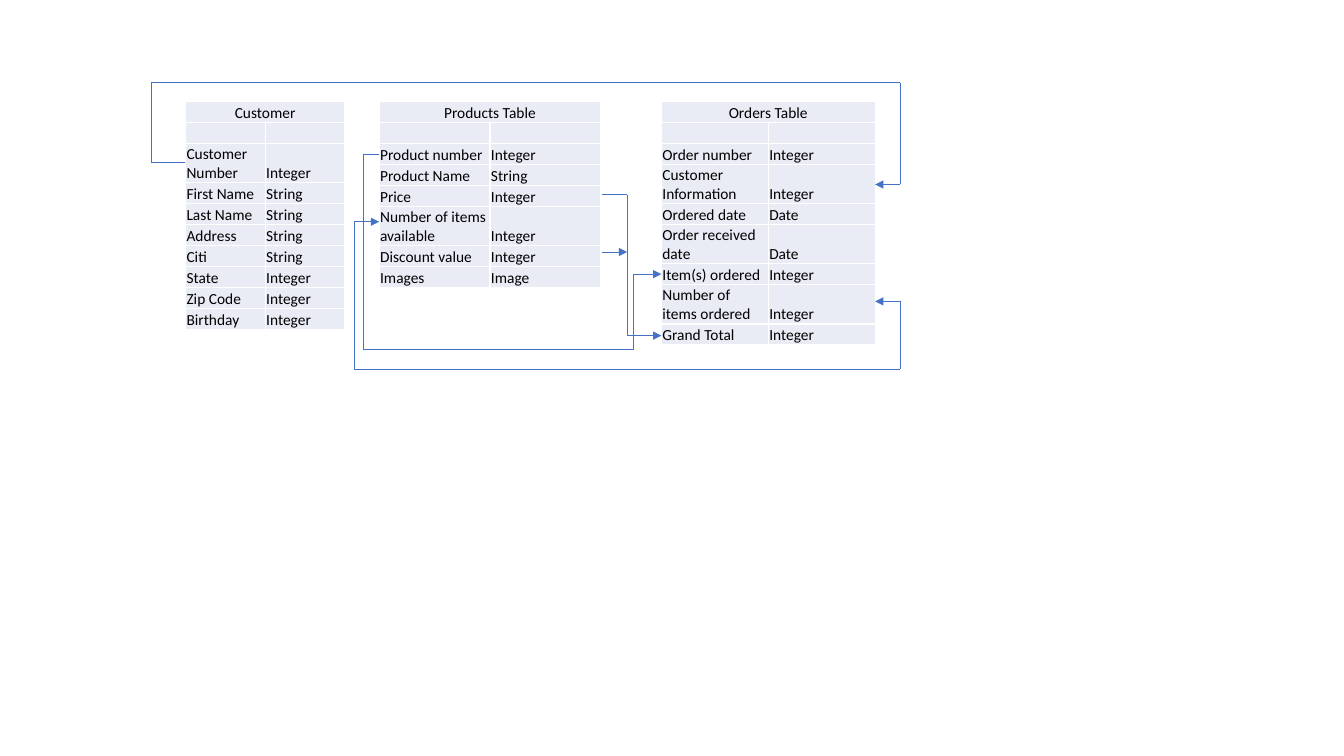
from dataclasses import dataclass
from itertools import pairwise

from lxml import etree
from pptx import Presentation
from pptx.dml.color import RGBColor
from pptx.enum.shapes import MSO_CONNECTOR
from pptx.enum.text import MSO_ANCHOR, PP_ALIGN
from pptx.oxml.ns import qn
from pptx.util import Inches, Pt

STRAIGHT = MSO_CONNECTOR.STRAIGHT
BOTTOM = MSO_ANCHOR.BOTTOM
CENTER = PP_ALIGN.CENTER
LEFT = PP_ALIGN.LEFT


@dataclass(frozen=True)
class Theme:
    font: str = "Calibri"
    size: int = 11
    text: str = "000000"
    cell: str = "E9EBF5"
    border: str = "FFFFFF"
    link: str = "4472C4"
    border_width: float = 1
    link_width: float = 0.5


@dataclass(frozen=True)
class Entity:
    title: str
    left: int
    column: int
    wrapped: int
    fields: tuple


THEME = Theme()

# The page grid: 1333 columns by 750 rows
STEP = Inches(0.01)
COLUMNS, ROWS = 1333, 750
TABLE_TOP = 101
ROW_HEIGHT = Pt(15)
EXTRA_LINE = 17 * STEP

ENTITIES = (
    Entity("Customer", 184, 79, 1, (
        ("Customer Number", "Integer"),
        ("First Name", "String"),
        ("Last Name", "String"),
        ("Address", "String"),
        ("Citi", "String"),
        ("State", "Integer"),
        ("Zip Code", "Integer"),
        ("Birthday", "Integer"),
    )),
    Entity("Products Table", 376, 110, 1, (
        ("Product number", "Integer"),
        ("Product Name", "String"),
        ("Price", "Integer"),
        ("Number of items available", "Integer"),
        ("Discount value", "Integer"),
        ("Images", "Image"),
    )),
    Entity("Orders Table", 656, 106, 3, (
        ("Order number", "Integer"),
        ("Customer Information", "Integer"),
        ("Ordered date", "Date"),
        ("Order received date", "Date"),
        ("Item(s) ordered", "Integer"),
        ("Number of items ordered", "Integer"),
        ("Grand Total", "Integer"),
    )),
)

# Each route ends in an arrowhead
ROUTES = {
    "customer": ((184, 161), (150, 161), (150, 82), (893, 82), (893, 183), (868, 183)),
    "product": ((376, 153), (360, 153), (360, 347), (628, 347), (628, 272), (656, 272)),
    "items available": ((351, 366), (351, 220), (376, 220)),
    "items ordered": ((351, 366), (893, 366), (893, 299), (868, 299)),
    "price": ((597, 193), (622, 193), (622, 333), (656, 333)),
    "discount": ((597, 250), (622, 250)),
}


def add_borders(cell) -> None:
    properties = cell._tc.get_or_add_tcPr()
    for position, side in enumerate(("lnL", "lnR", "lnT", "lnB")):
        line = etree.Element(qn(f"a:{side}"), w=str(Pt(THEME.border_width)))
        fill = etree.SubElement(line, qn("a:solidFill"))
        etree.SubElement(fill, qn("a:srgbClr"), val=THEME.border)
        properties.insert(position, line)


def fill_cell(cell, text: str, alignment=LEFT) -> None:
    cell.margin_left = cell.margin_right = cell.margin_top = STEP
    cell.margin_bottom = 0
    cell.vertical_anchor = BOTTOM
    cell.fill.solid()
    cell.fill.fore_color.rgb = RGBColor.from_string(THEME.cell)
    add_borders(cell)
    para = cell.text_frame.paragraphs[0]
    para.text = text
    para.alignment = alignment
    for span in para.runs:
        span.font.name = THEME.font
        span.font.size = Pt(THEME.size)
        span.font.color.rgb = RGBColor.from_string(THEME.text)
    if not text:
        # An empty cell keeps the small type, so its row stays low
        etree.SubElement(para._p, qn("a:endParaRPr"), sz=str(THEME.size * 100))


def add_entity(page, entity: Entity) -> None:
    lines = ((entity.title, ""), ("", ""), *entity.fields)
    height = len(lines) * ROW_HEIGHT
    frame = page.shapes.add_table(
        len(lines), 2, entity.left * STEP, TABLE_TOP * STEP,
        2 * entity.column * STEP, height)
    table = frame.table
    table.first_row = table.horz_banding = False
    for row, texts in zip(table.rows, lines):
        row.height = ROW_HEIGHT
        for cell, text in zip(row.cells, texts):
            fill_cell(cell, text, CENTER if text == entity.title else LEFT)
    table.cell(0, 0).merge(table.cell(0, 1))
    frame.height = height + entity.wrapped * EXTRA_LINE


def add_route(page, points: tuple) -> None:
    for start, end in pairwise(points):
        segment = page.shapes.add_connector(
            STRAIGHT, *(value * STEP for value in start + end))
        segment.line.color.rgb = RGBColor.from_string(THEME.link)
        segment.line.width = Pt(THEME.link_width)
        etree.SubElement(segment._element.spPr, qn("a:effectLst"))
    outline = segment.line._get_or_add_ln()
    etree.SubElement(outline, qn("a:tailEnd"), type="triangle")


deck = Presentation()
deck.slide_width, deck.slide_height = COLUMNS * STEP, ROWS * STEP
page = deck.slides.add_slide(deck.slide_layouts[6])

# Entity tables
for entity in ENTITIES:
    add_entity(page, entity)

# Links between fields
for points in ROUTES.values():
    add_route(page, points)

deck.save("out.pptx")
